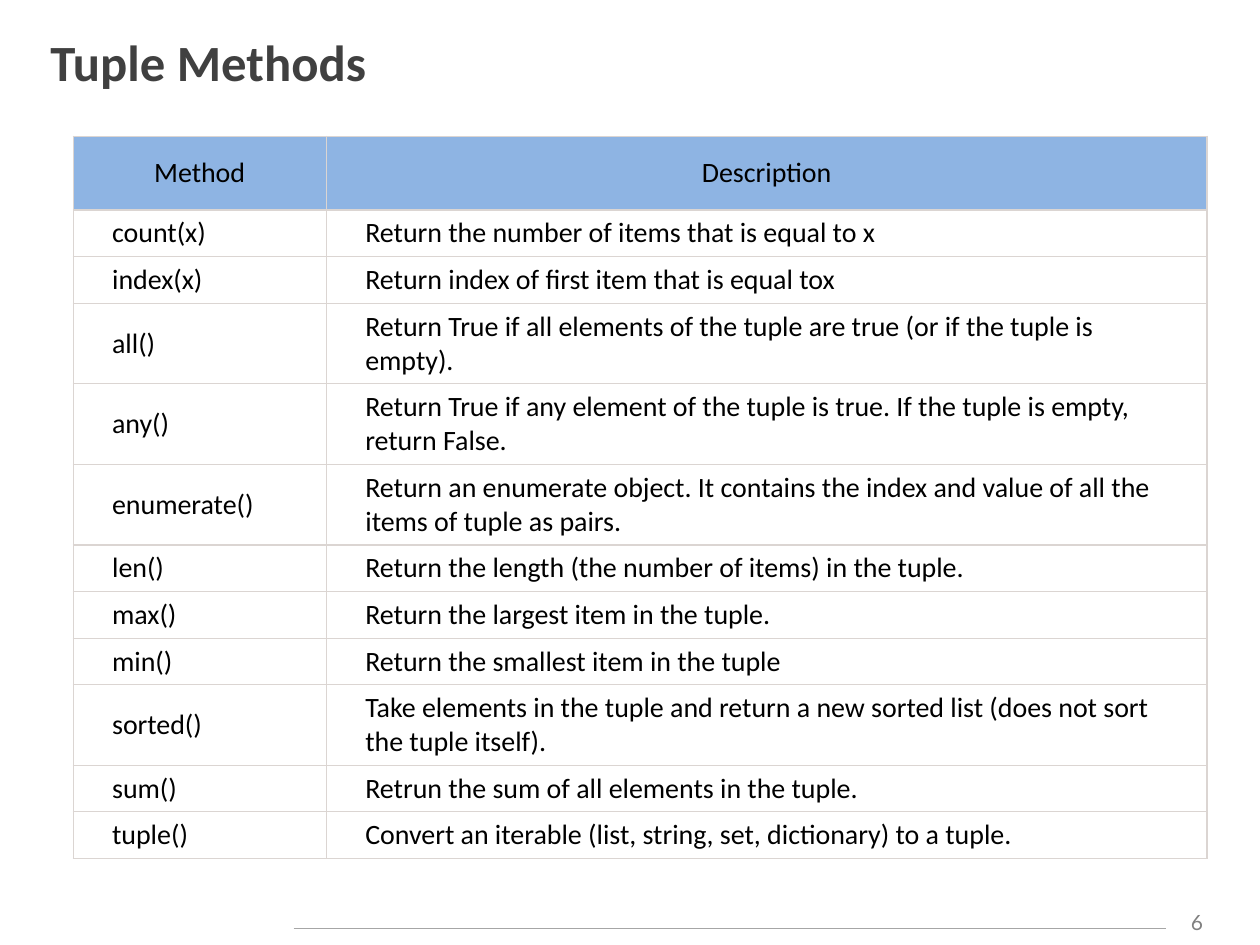
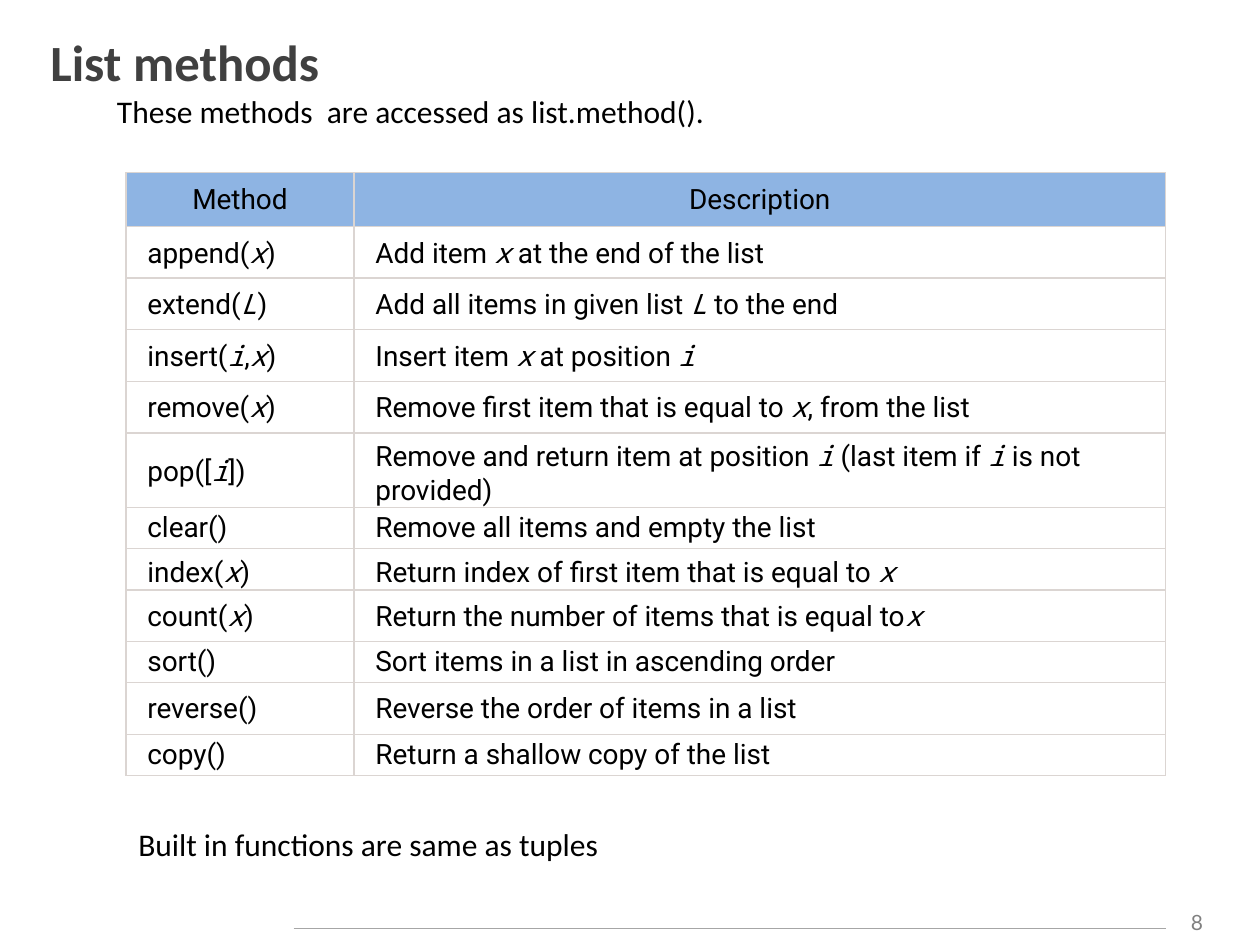
"""Build two slides that tabulate the methods of Python tuples and lists."""
from dataclasses import dataclass

from lxml.etree import SubElement
from pptx import Presentation
from pptx.dml.color import RGBColor
from pptx.enum.shapes import MSO_CONNECTOR
from pptx.enum.text import MSO_ANCHOR, MSO_AUTO_SIZE, PP_ALIGN
from pptx.oxml.ns import qn
from pptx.slide import Slide
from pptx.table import _Cell
from pptx.text.text import Font
from pptx.util import Inches, Pt


@dataclass(frozen=True)
class Theme:
    """Colours, fonts and type sizes shared by the slides."""

    title_color: str = "404040"
    text_color: str = "000000"
    page_color: str = "808080"
    rule_color: str = "A6A6A6"
    border_color: str = "DBD5D2"
    header_fill: str = "8EB4E3"
    body_fill: str = "FFFFFF"
    text_font: str = "Calibri"
    page_font: str = "Lato"
    argument_font: str = "Noto Sans Mono"
    title_size: int = 29
    note_size: int = 18
    table_size: int = 16
    page_size: int = 12
    line_width: float = 0.75


@dataclass(frozen=True)
class Note:
    """One line of text outside the table."""

    text: str
    left: float
    top: float
    width: float


@dataclass(frozen=True)
class MethodTable:
    """Methods with descriptions; arguments stand between asterisks."""

    left: float
    top: float
    column_widths: tuple[float, float]
    row_heights: tuple[float, ...]
    header_insets: tuple[float, float]
    body_insets: tuple[float, float]
    font: str
    methods: tuple[tuple[str, str], ...]


@dataclass(frozen=True)
class MethodSlide:
    """Everything that differs from slide to slide."""

    title: str
    page: int
    table: MethodTable
    notes: tuple[Note, ...] = ()


THEME = Theme()
HEADINGS = ("Method", "Description")
SHORT, TALL = 0.37, 0.64
TIGHT, ROOMY = 0.29, 0.41

TUPLE_METHODS = (
    ("count(x)", "Return the number of items that is equal to\u00a0x"),
    ("index(x)", "Return index of first item that is equal tox"),
    ("all()", "Return\u00a0True\u00a0if all elements of the tuple are true "
              "(or if the tuple is empty)."),
    ("any()", "Return\u00a0True\u00a0if any element of the tuple is true. "
              "If the tuple is empty, return\u00a0False."),
    ("enumerate()", "Return an enumerate object. It contains the index and "
                    "value of all the items of tuple as pairs."),
    ("len()", "Return the length (the number of items) in the tuple."),
    ("max()", "Return the largest item in the tuple."),
    ("min()", "Return the smallest item in the tuple"),
    ("sorted()", "Take elements in the tuple and return a new sorted list "
                 "(does not sort the tuple itself)."),
    ("sum()", "Retrun the sum of all elements in the tuple."),
    ("tuple()", "Convert an iterable (list, string, set, dictionary) to a tuple."),
)

LIST_METHODS = (
    ("append(*x*)", "Add item\u00a0*x*\u00a0at the end of the list"),
    ("extend(*L*)", "Add all items in given list\u00a0*L*\u00a0to the end"),
    ("insert(*i*,*x*)", "Insert item\u00a0*x*\u00a0at position\u00a0*i*"),
    ("remove(*x*)", "Remove first item that is equal to\u00a0*x*, from the list"),
    ("pop([*i*])", "Remove and return item at position\u00a0*i*\u00a0"
                   "(last item if\u00a0*i*\u00a0is not provided)"),
    ("clear()", "Remove all items and empty the list"),
    ("index(*x*)", "Return index of first item that is equal to\u00a0*x*"),
    ("count(*x*)", "Return the number of items that is equal to*x*"),
    ("sort()", "Sort items in a list in ascending order"),
    ("reverse()", "Reverse the order of items in a list"),
    ("copy()", "Return a shallow copy of the list"),
)

SLIDES = (
    MethodSlide(
        "Tuple Methods", 6,
        MethodTable(
            0.58, 1.08, (2.01, 6.99),
            (0.58, SHORT, SHORT, TALL, TALL, TALL, SHORT, SHORT, SHORT, TALL,
             SHORT, SHORT),
            (0.1, 0.16), (0.31, 0.05), "Calibri", TUPLE_METHODS,
        ),
    ),
    MethodSlide(
        "List methods", 8,
        MethodTable(
            1, 1.37, (1.81, 6.44),
            (0.36, ROOMY, ROOMY, ROOMY, ROOMY, 0.49, TIGHT, TIGHT, ROOMY,
             TIGHT, ROOMY, TIGHT),
            (0.05, 0.08), (0.17, 0.03), "Roboto", LIST_METHODS,
        ),
        (
            Note("These methods  are accessed as\u00a0list.method().",
                 0.83, 0.68, 4.92),
            Note("Built in functions are same as tuples", 1, 6.5, 3.9),
        ),
    ),
)


def style_font(font: Font, name: str, size: float, color: str) -> None:
    """Set the family, size and colour of a font."""
    font.name = name
    font.size = Pt(size)
    font.color.rgb = RGBColor.from_string(color)


def add_title(slide: Slide, text: str) -> None:
    """Place and format the title placeholder."""
    title = slide.shapes.title
    title.left, title.top = Inches(0.3), Inches(0.17)
    title.width, title.height = Inches(9.36), Inches(0.63)
    frame = title.text_frame
    frame.text = text
    frame.auto_size = MSO_AUTO_SIZE.NONE
    frame.vertical_anchor = MSO_ANCHOR.MIDDLE
    heading = frame.paragraphs[0]
    heading.alignment = PP_ALIGN.LEFT
    heading.font.bold = True
    style_font(heading.font, THEME.text_font, THEME.title_size, THEME.title_color)


def add_footer(slide: Slide, page: int) -> None:
    """Draw the page number and the rule beside it."""
    number = slide.shapes.add_textbox(
        Inches(9.25), Inches(7.17), Inches(0.5), Inches(0.3)).text_frame
    number.word_wrap = True
    number.auto_size = MSO_AUTO_SIZE.SHAPE_TO_FIT_TEXT
    number.text = str(page)
    paragraph = number.paragraphs[0]
    paragraph.alignment = PP_ALIGN.CENTER
    style_font(paragraph.font, THEME.page_font, THEME.page_size, THEME.page_color)
    rule = slide.shapes.add_connector(
        MSO_CONNECTOR.STRAIGHT,
        Inches(2.33), Inches(7.37), Inches(9.25), Inches(7.37))
    rule.line.color.rgb = RGBColor.from_string(THEME.rule_color)
    rule.line.width = Pt(THEME.line_width)
    SubElement(rule._element.spPr, qn("a:effectLst"))


def add_note(slide: Slide, note: Note) -> None:
    """Draw one unwrapped line of text."""
    frame = slide.shapes.add_textbox(
        Inches(note.left), Inches(note.top),
        Inches(note.width), Inches(0.4)).text_frame
    frame.word_wrap = False
    frame.auto_size = MSO_AUTO_SIZE.SHAPE_TO_FIT_TEXT
    frame.text = note.text
    style_font(frame.paragraphs[0].font, THEME.text_font,
               THEME.note_size, THEME.text_color)


def add_borders(cell: _Cell) -> None:
    """Give all four sides of a cell the same thin line."""
    properties = cell._tc.get_or_add_tcPr()
    for side in ("a:lnL", "a:lnR", "a:lnT", "a:lnB"):
        border = SubElement(properties, qn(side), w=str(Pt(THEME.line_width)))
        fill = SubElement(border, qn("a:solidFill"))
        SubElement(fill, qn("a:srgbClr"), val=THEME.border_color)


def fill_cell(cell: _Cell, text: str, font: str, insets: tuple[float, float],
              color: str, alignment: PP_ALIGN) -> None:
    """Write a cell, setting the marked arguments in slanted monospace."""
    add_borders(cell)
    cell.fill.solid()
    cell.fill.fore_color.rgb = RGBColor.from_string(color)
    cell.vertical_anchor = MSO_ANCHOR.MIDDLE
    cell.margin_left = cell.margin_right = Inches(insets[0])
    cell.margin_top = cell.margin_bottom = Inches(insets[1])
    paragraph = cell.text_frame.paragraphs[0]
    paragraph.alignment = alignment
    style_font(paragraph.font, font, THEME.table_size, THEME.text_color)
    for position, part in enumerate(text.split("*")):
        if part:
            run = paragraph.add_run()
            run.text = part
            if position % 2:
                run.font.name = THEME.argument_font
                run.font.italic = True


def add_method_table(slide: Slide, content: MethodTable) -> None:
    """Draw the heading row and one row for each method."""
    rows = (HEADINGS, *content.methods)
    table = slide.shapes.add_table(
        len(rows), len(HEADINGS), Inches(content.left), Inches(content.top),
        Inches(sum(content.column_widths)),
        Inches(sum(content.row_heights))).table
    table.first_row = table.horz_banding = False
    for column, width in zip(table.columns, content.column_widths):
        column.width = Inches(width)
    for row, height in zip(table.rows, content.row_heights):
        row.height = Inches(height)
    for row_index, texts in enumerate(rows):
        if row_index == 0:
            look = content.header_insets, THEME.header_fill, PP_ALIGN.CENTER
        else:
            look = content.body_insets, THEME.body_fill, PP_ALIGN.LEFT
        for column_index, text in enumerate(texts):
            fill_cell(table.cell(row_index, column_index), text,
                      content.font, *look)


def main() -> None:
    """Build and save the presentation."""
    presentation = Presentation()
    presentation.slide_width, presentation.slide_height = Inches(10), Inches(7.5)
    title_only = presentation.slide_layouts[5]
    for content in SLIDES:
        slide = presentation.slides.add_slide(title_only)
        add_footer(slide, content.page)
        add_title(slide, content.title)
        add_method_table(slide, content.table)
        for note in content.notes:
            add_note(slide, note)
    presentation.save("out.pptx")


main()
